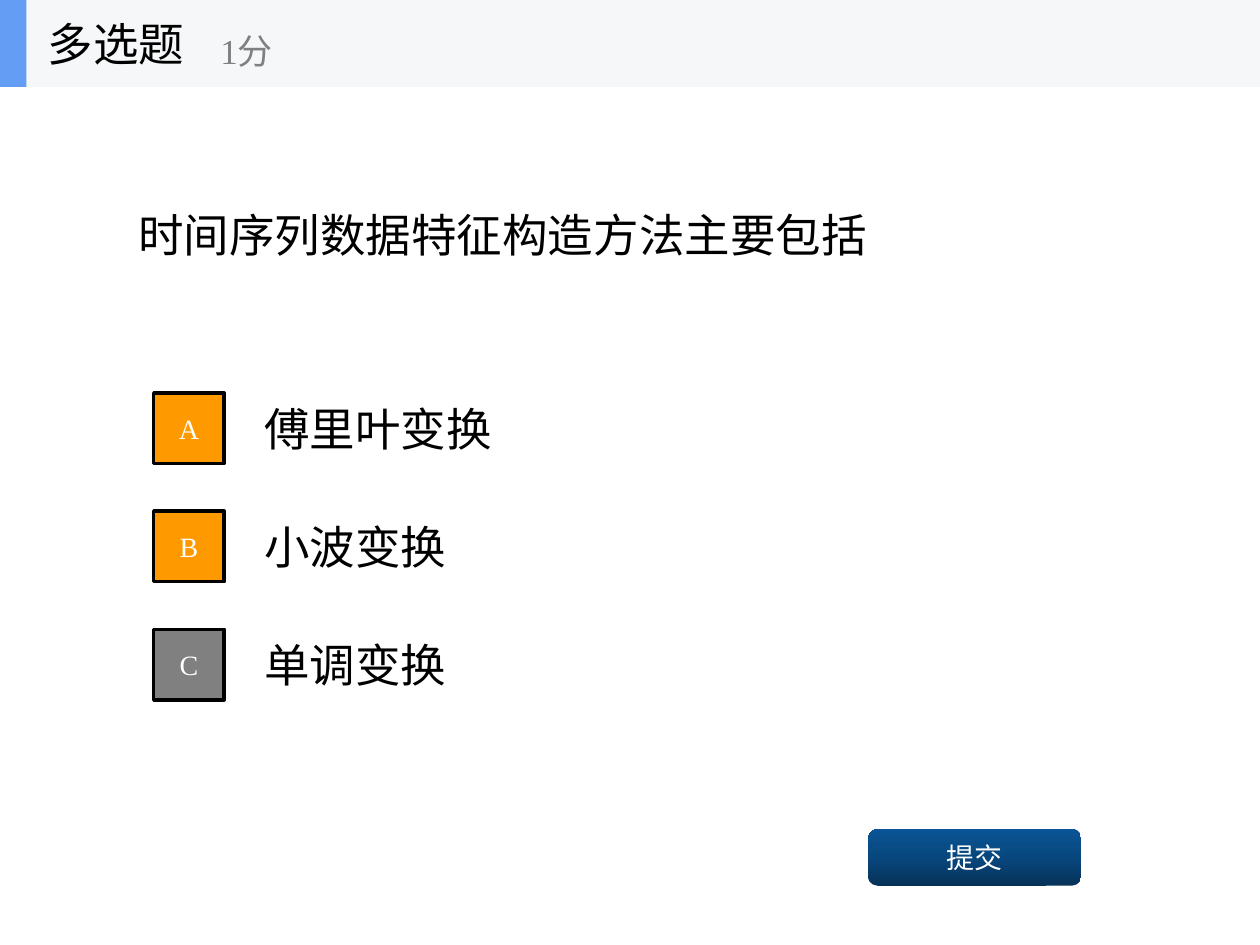
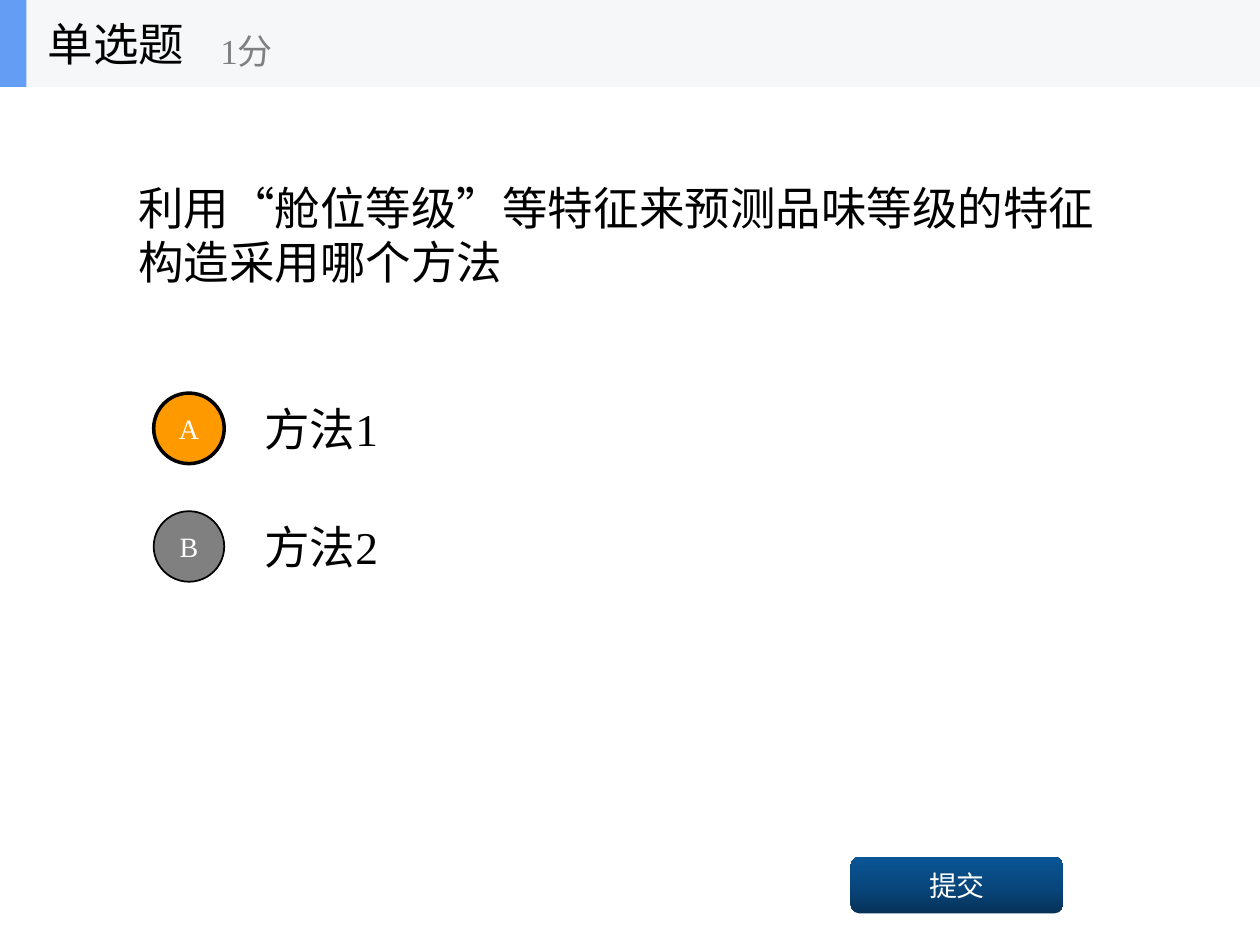
from copy import deepcopy
from dataclasses import dataclass

from pptx import Presentation
from pptx.dml.color import RGBColor
from pptx.enum import lang, shapes, text
from pptx.oxml.ns import qn
from pptx.util import Inches, Pt


@dataclass(frozen=True)
class Theme:
    font: str = "Times New Roman"
    ink: str = "000000"
    white: str = "FFFFFF"
    muted: str = "808080"
    correct: str = "FF9900"
    header: str = "F6F7F8"
    accent: str = "639EF4"
    button: tuple = ("063258", "08477E", "0A5595")
    body_size: int = 26
    score_size: int = 20
    label_size: int = 16


THEME = Theme()
SLIDE_WIDTH, SLIDE_HEIGHT = 10, 7.5
HEADER_HEIGHT = 0.69
OPTION_TOP, OPTION_HEIGHT = 3.05, 0.7
OPTION_PITCH = SLIDE_HEIGHT / 8
BADGE_SIZE = 0.56


def rgb(value):
    return RGBColor.from_string(value)


def write(holder, words, size=THEME.body_size, color=THEME.ink,
          align=text.PP_ALIGN.LEFT, wrap=True):
    frame = holder.text_frame
    frame.word_wrap = wrap
    frame.vertical_anchor = text.MSO_ANCHOR.MIDDLE
    paragraph = frame.paragraphs[0]
    paragraph.alignment = align
    run = paragraph.add_run()
    run.text = words
    font = run.font
    font.name = THEME.font
    font.size = Pt(size)
    font.color.rgb = rgb(color)
    font.language_id = lang.MSO_LANGUAGE_ID.SIMPLIFIED_CHINESE


def add_text(slide, box, words, **style):
    write(slide.shapes.add_textbox(*map(Inches, box)), words, **style)


def add_block(slide, kind, box, fill=None, line_width=0):
    block = slide.shapes.add_shape(kind, *map(Inches, box))
    block.shadow.inherit = False
    if fill:
        block.fill.solid()
        block.fill.fore_color.rgb = rgb(fill)
    if line_width:
        block.line.color.rgb = rgb(THEME.ink)
        block.line.width = Pt(line_width)
    else:
        block.line.fill.background()
    return block


def write_label(block, words):
    write(block, words, size=THEME.label_size, color=THEME.white,
          align=text.PP_ALIGN.CENTER)


def add_header(slide, question_type, score):
    for width, color in ((SLIDE_WIDTH, THEME.header), (0.21, THEME.accent)):
        add_block(slide, shapes.MSO_SHAPE.RECTANGLE,
                  (0, 0, width, HEADER_HEIGHT), color)
    add_text(slide, (0.28, 0, 2.08, HEADER_HEIGHT), question_type, wrap=False)
    add_text(slide, (1.65, 0.12, 2.5, 0.56), score, wrap=False,
             size=THEME.score_size, color=THEME.muted)


def add_option(slide, index, answer, badge_kind, is_correct, line_width):
    top = OPTION_TOP + index * OPTION_PITCH
    add_text(slide, (2, top, 7, OPTION_HEIGHT), answer)
    badge_top = top + (OPTION_HEIGHT - BADGE_SIZE) / 2
    badge = add_block(slide, badge_kind,
                      (1.22, badge_top, BADGE_SIZE, BADGE_SIZE),
                      THEME.correct if is_correct else THEME.muted, line_width)
    write_label(badge, "ABCDEFGH"[index])


def fill_gradient(block, colors):
    """Spread three colours evenly from the bottom to the top."""
    block.fill.gradient()
    block.fill.gradient_angle = 90
    stop_list = next(block._element.spPr.iter(qn("a:gsLst")))
    stop_list.insert(1, deepcopy(stop_list[0]))
    for index, (stop, color) in enumerate(zip(block.fill.gradient_stops, colors)):
        stop.position = index / (len(colors) - 1)
        stop.color.rgb = rgb(color)


def add_submit_button(slide, left, top):
    button = add_block(slide, shapes.MSO_SHAPE.ROUNDED_RECTANGLE,
                       (left, top, 1.69, 0.45))
    fill_gradient(button, THEME.button)
    write_label(button, "提交")


def add_question(deck, question_type, question, options, badge_kind, submit_at):
    """Options are (answer, is correct, badge line width) in letter order."""
    slide = deck.slides.add_slide(deck.slide_layouts[6])
    add_text(slide, (1, HEADER_HEIGHT, 8, 2.34), question)
    for index, (answer, is_correct, line_width) in enumerate(options):
        add_option(slide, index, answer, badge_kind, is_correct, line_width)
    add_submit_button(slide, *submit_at)
    add_header(slide, question_type, "1分")


def main():
    deck = Presentation()
    deck.slide_width = Inches(SLIDE_WIDTH)
    deck.slide_height = Inches(SLIDE_HEIGHT)
    add_question(
        deck, "多选题", "时间序列数据特征构造方法主要包括",
        [("傅里叶变换", True, 2), ("小波变换", True, 2), ("单调变换", False, 2)],
        shapes.MSO_SHAPE.RECTANGLE, (6.89, 6.58))
    add_question(
        deck, "单选题", "利用“舱位等级”等特征来预测品味等级的特征构造采用哪个方法",
        [("方法1", True, 2), ("方法2", False, 1)],
        shapes.MSO_SHAPE.OVAL, (6.75, 6.8))
    deck.save("out.pptx")


if __name__ == "__main__":
    main()
